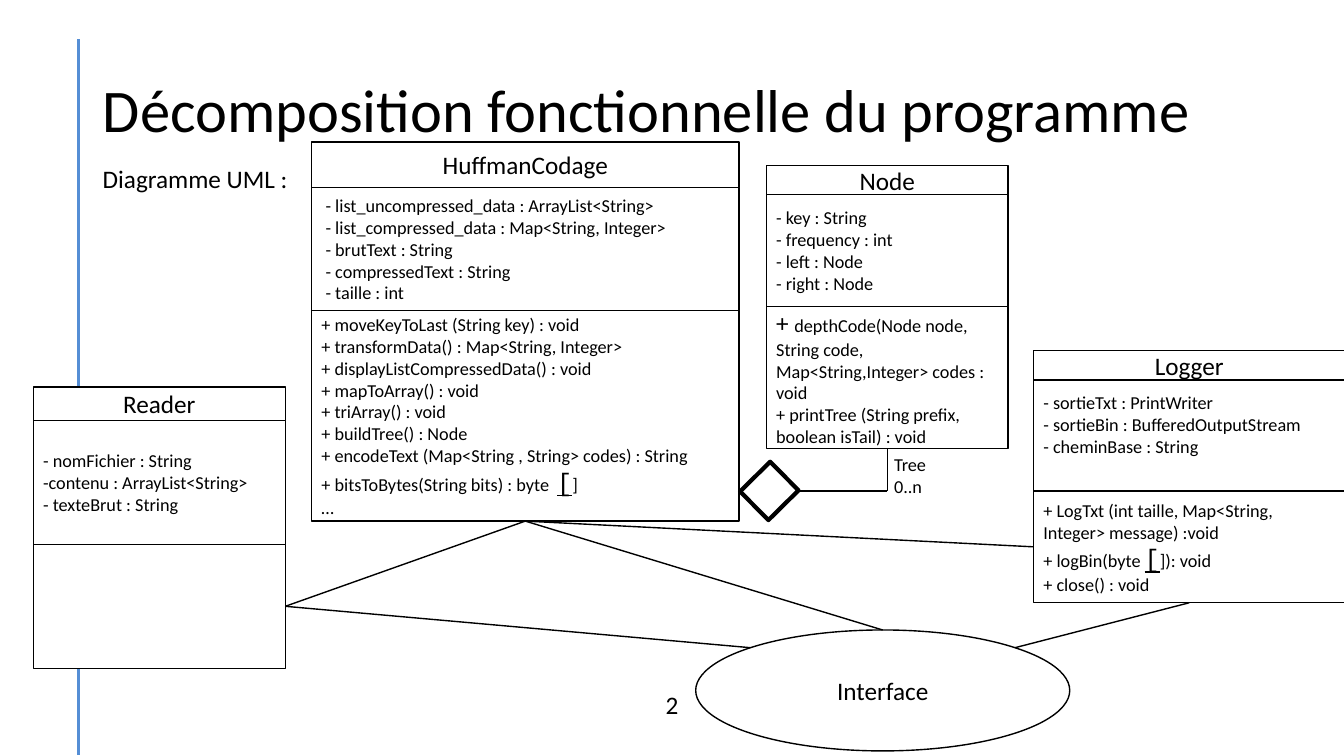
"""Build a slide with a UML class diagram."""
import dataclasses
import math

import lxml.etree
import pptx
import pptx.dml.color
import pptx.enum.shapes
import pptx.enum.text
import pptx.oxml.ns
import pptx.util

Inches = pptx.util.Inches
SHAPE = pptx.enum.shapes.MSO_SHAPE
ALIGN = pptx.enum.text.PP_ALIGN
ANCHOR = pptx.enum.text.MSO_ANCHOR


@dataclasses.dataclass(frozen=True)
class Theme:
    """Colours, fonts and type sizes of the slide."""
    ink: str = "000000"
    paper: str = "FFFFFF"
    rule: str = "558ED5"
    font: str = "Calibri"
    code_font: str = "Courier New"
    title: float = 43.2
    heading: float = 18
    body: float = 13


@dataclasses.dataclass(frozen=True)
class Box:
    """A rectangle in inches."""
    left: float
    top: float
    width: float
    height: float

    def at(self, across, down):
        """Return the point at the given fractions of the box."""
        return self.left + across * self.width, self.top + down * self.height

    def lengths(self):
        """Return left, top, width and height as lengths."""
        return [Inches(value) for value in dataclasses.astuple(self)]


THEME = Theme()
BRACKET = ("[", THEME.heading, True)


def colour(value):
    """Turn a hexadecimal string into a colour."""
    return pptx.dml.color.RGBColor.from_string(value)


def write(frame, paragraphs, size, align=ALIGN.LEFT):
    """Write paragraphs, each a string or a list of strings and (text, size, code) spans."""
    for index, content in enumerate(paragraphs):
        para = frame.paragraphs[0] if index == 0 else frame.add_paragraph()
        para.alignment = align
        for piece in [content] if isinstance(content, str) else content:
            text, points, code = (piece, size, False) if isinstance(piece, str) else piece
            span = para.add_run()
            span.text = text
            span.font.size = pptx.util.Pt(points)
            span.font.name = THEME.code_font if code else THEME.font
            span.font.underline = code
            span.font.color.rgb = colour(THEME.ink)


def add_panel(page, box, paragraphs=(), size=THEME.body, align=ALIGN.LEFT,
              kind=SHAPE.RECTANGLE, line=THEME.ink, weight=1):
    """Add a white outlined shape with text centred vertically."""
    panel = page.shapes.add_shape(kind, *box.lengths())
    panel.shadow.inherit = False
    panel.fill.solid()
    panel.fill.fore_color.rgb = colour(THEME.paper)
    panel.line.color.rgb = colour(line)
    panel.line.width = pptx.util.Pt(weight)
    panel.text_frame.word_wrap = True
    panel.text_frame.vertical_anchor = ANCHOR.MIDDLE
    write(panel.text_frame, paragraphs, size, align)
    return panel


def add_line(page, start, end, tint=THEME.ink, weight=1):
    """Draw a straight line between two points."""
    ends = [Inches(value) for value in (*start, *end)]
    line = page.shapes.add_connector(pptx.enum.shapes.MSO_CONNECTOR.STRAIGHT, *ends)
    line.line.color.rgb = colour(tint)
    line.line.width = pptx.util.Pt(weight)
    lxml.etree.SubElement(line._element.spPr, pptx.oxml.ns.qn("a:effectLst"))


def add_label(page, box, paragraphs, size):
    """Add a plain text label."""
    label = page.shapes.add_textbox(*box.lengths())
    label.text_frame.word_wrap = False
    write(label.text_frame, paragraphs, size)


def add_title(page, box, text):
    """Fill the title placeholder."""
    title = page.shapes.title
    title.left, title.top, title.width, title.height = box.lengths()
    frame = title.text_frame
    frame.word_wrap = True
    frame.auto_size = pptx.enum.text.MSO_AUTO_SIZE.NONE
    frame.vertical_anchor = ANCHOR.MIDDLE
    write(frame, [text], THEME.title)
    frame.paragraphs[0].line_spacing = 0.9


def add_class(page, box, name, attributes, methods, head, middle, bottom_gap=0.05):
    """Stack the three compartments of a class and return the method compartment."""
    add_panel(page, Box(box.left, box.top, box.width, head), [name],
              THEME.heading, ALIGN.CENTER)
    fields = add_panel(page, Box(box.left, box.top + head, box.width, middle), attributes)
    fields.text_frame.margin_bottom = Inches(bottom_gap)
    used = head + middle
    operations = Box(box.left, box.top + used, box.width, box.height - used)
    add_panel(page, operations, methods)
    return operations


def add_aggregation(page, whole, part):
    """Link the part to the whole with a diamond and a multiplicity."""
    corner = part.at(0.5, 1)[0], 4.87
    add_line(page, part.at(0.5, 1), corner)
    add_line(page, corner, (whole.at(1, 0)[0], corner[1]))
    diamond = add_panel(page, Box(whole.at(1, 0)[0] + 0.09, corner[1] - 0.2, 0.42, 0.4), weight=3)
    diamond.rotation = 315.4
    add_label(page, Box(corner[0] - 0.03, part.at(0, 1)[1], 0.54, 0.54),
              ["Tree", "0..n"], THEME.body)


def add_diagram(page):
    """Place the classes, the interface and their links."""
    reader = add_class(
        page, Box(0.33, 3.84, 2.5, 2.79), "Reader",
        ["- nomFichier : String", "-contenu : ArrayList<String>", "- texteBrut : String"],
        [], 0.33, 1.23)
    huffman = add_class(
        page, Box(3.09, 1.41, 4.24, 3.76), "HuffmanCodage",
        [" - list_uncompressed_data : ArrayList<String>",
         " - list_compressed_data : Map<String, Integer>",
         " - brutText : String", " - compressedText : String", " - taille : int"],
        ["+ moveKeyToLast (String key) : void", "+ transformData() : Map<String, Integer>",
         "+ displayListCompressedData() : void", "+ mapToArray() : void",
         "+ triArray() : void", "+ buildTree() : Node",
         "+ encodeText (Map<String , String> codes) : String",
         ["+ bitsToBytes(String bits) : byte  ", BRACKET, "]"], "…"],
        0.45, 1.22)
    node = add_class(
        page, Box(7.6, 1.64, 2.4, 2.81), "Node",
        ["- key : String", "- frequency : int", "- left : Node", "- right : Node"],
        [[("+ ", THEME.heading, False),
          "depthCode(Node node, String code, Map<String,Integer> codes : void"],
         "+ printTree (String prefix, boolean isTail) : void"],
        0.29, 1.11)
    logger = add_class(
        page, Box(10.25, 3.48, 3.09, 2.5), "Logger",
        ["- sortieTxt : PrintWriter", "- sortieBin : BufferedOutputStream",
         "- cheminBase : String"],
        ["+ LogTxt (int taille, Map<String, Integer> message) :void",
         ["+ logBin(byte ", BRACKET, "]): void"], "+ close() : void"],
        0.29, 1.1, bottom_gap=0.27)
    interface = Box(6.9, 6.25, 3.71, 1.2)
    add_panel(page, interface, ["Interface"], THEME.heading, ALIGN.CENTER, SHAPE.OVAL)
    add_aggregation(page, huffman, node)
    near = (1 - math.sqrt(0.5)) / 2
    hub, reader_side = huffman.at(0.5, 1), reader.at(1, 0.5)
    for start, end in [
        (interface.at(near, near), reader_side),
        (hub, reader_side),
        (interface.at(0.5, 0), hub),
        (logger.at(0, 0.5), hub),
        (logger.at(0.5, 1), interface.at(1 - near, near)),
    ]:
        add_line(page, start, end)


def main():
    """Build and save the deck."""
    deck = pptx.Presentation()
    deck.slide_width, deck.slide_height = Inches(13.33), Inches(7.5)
    page = deck.slides.add_slide(deck.slide_layouts[5])
    add_line(page, (0.78, 0.39), (0.78, 7.49), THEME.rule, 2)
    add_title(page, Box(0.92, 0.4, 11.5, 1.45), "Décomposition fonctionnelle du programme")
    add_panel(page, Box(6.4, 6.64, 0.53, 0.7), ["2"], THEME.heading, ALIGN.CENTER,
              line=THEME.paper)
    add_label(page, Box(0.92, 1.57, 2.08, 0.4), ["Diagramme UML :"], THEME.heading)
    add_diagram(page)
    deck.save("out.pptx")


if __name__ == "__main__":
    main()
